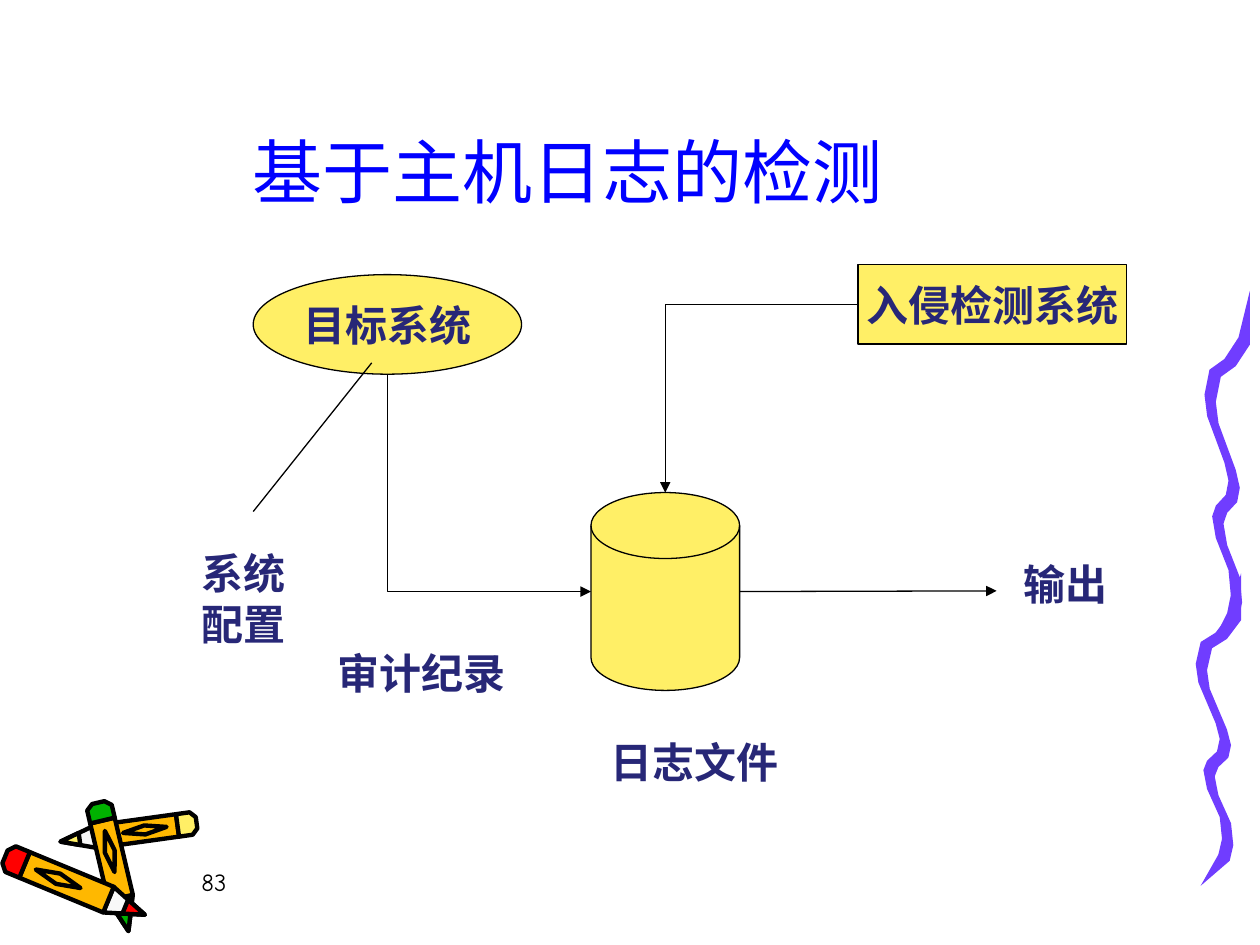
from math import hypot
from typing import NamedTuple

from lxml import etree
from pptx import Presentation
from pptx.dml.color import RGBColor
from pptx.enum.shapes import MSO_CONNECTOR, MSO_SHAPE
from pptx.enum.text import MSO_ANCHOR, PP_ALIGN
from pptx.oxml.ns import qn
from pptx.util import Inches, Pt

OVAL, RECT, DISK = MSO_SHAPE.OVAL, MSO_SHAPE.RECTANGLE, MSO_SHAPE.FLOWCHART_MAGNETIC_DISK
STRAIGHT, ELBOW = MSO_CONNECTOR.STRAIGHT, MSO_CONNECTOR.ELBOW
LEFT, CENTER = PP_ALIGN.LEFT, PP_ALIGN.CENTER
TOP, MIDDLE, BOTTOM = MSO_ANCHOR.TOP, MSO_ANCHOR.MIDDLE, MSO_ANCHOR.BOTTOM

COLS, ROWS = 100, 75
CELL = Inches(0.1)
THIN, THICK = 0.75, 2.5
C = {
    "title": "0000FF", "text": "272777", "black": "000000", "node": "FFEF66",
    "white": "F8F8F8", "red": "FF0000", "orange": "FFB800", "green": "00B200",
    "purple": "703DFF",
}


class Node(NamedTuple):
    kind: int
    col: float
    row: float
    cols: float
    rows: float
    text: str = ""

    @property
    def left(self) -> tuple:
        return self.col, self.row + self.rows / 2

    @property
    def right(self) -> tuple:
        return self.col + self.cols, self.row + self.rows / 2

    @property
    def top(self) -> tuple:
        return self.col + self.cols / 2, self.row

    @property
    def bottom(self) -> tuple:
        return self.col + self.cols / 2, self.row + self.rows


class Label(NamedTuple):
    text: str
    col: float
    row: float
    cols: float
    rows: float


class Link(NamedTuple):
    start: tuple
    end: tuple
    arrow: bool = True
    bent: bool = False
    down_first: bool = False


class Crayon(NamedTuple):
    back: tuple
    tip: tuple
    half_width: float
    color: str


class Part(NamedTuple):
    color: str
    points: list


class Ribbon(NamedTuple):
    col: float
    row: float
    cols: float
    rows: float


TARGET = Node(OVAL, 20.1, 21.8, 21.3, 7.9, "目标系统")
LOG_FILE = Node(DISK, 46.9, 39.1, 11.8, 15.7)
DETECTOR = Node(RECT, 68.1, 21, 21.3, 6.3, "入侵检测系统")
LINKS = [
    Link(TARGET.bottom, LOG_FILE.left, bent=True, down_first=True),
    Link(DETECTOR.left, LOG_FILE.top, bent=True),
    Link(LOG_FILE.right, (79.1, 46.9)),
    Link((29.5, 28.8), (20.1, 40.6), arrow=False),
]
LABELS = [
    Label("审计纪录", 25.6, 50.9, 15.7, 5),
    Label("系统配置", 13.8, 43, 11, 9),
    Label("日志文件", 46.1, 58, 18.1, 5),
    Label("输出", 79.1, 43.8, 11, 5),
]
CRAYONS = [
    Crayon((15.6, 65.3), (4.8, 66.8), 0.9, "node"),
    Crayon((7.8, 63.7), (10.2, 73.9), 1, "green"),
    Crayon((0.4, 68), (11.5, 72.6), 1.1, "red"),
]
CAP_END, SHEATH_END, LEAD_START = 0.14, 0.74, 0.86
LEAF_START, LEAF_END = 0.22, 0.54

RIBBONS = [Ribbon(94.9, 45.5, 3.6, 24.8), Ribbon(95.6, 23.1, 3.6, 28.4)]
RIBBON_BENDS = [
    (1, 0), (0.75, 0.13), (0.44, 0.19), (0.11, 0.22), (0, 0.29), (0.06, 0.35),
    (0.44, 0.48), (0.53, 0.53), (0.47, 0.57), (0.25, 0.6), (0.17, 0.63),
    (0.25, 0.69), (0.53, 0.78), (0.58, 0.85), (0.5, 0.9), (0.11, 1),
]
NIB = (0.25, 0.02)


def grid(*cells: float) -> list:
    return [round(n * CELL) for n in cells]


def rgb(name: str) -> RGBColor:
    return RGBColor.from_string(C[name])


def paint(sp, fill: str, line_width: float = 0) -> None:
    sp.shadow.inherit = False
    sp.fill.solid()
    sp.fill.fore_color.rgb = rgb(fill)
    if line_width:
        sp.line.color.rgb = rgb("black")
        sp.line.width = Pt(line_width)
    else:
        sp.line.fill.background()


def write(tf, text: str, size: int = 24, font: str = "Times New Roman", color: str = "text",
          bold: bool = True, align: int = CENTER, anchor: int = TOP, wrap: bool = True) -> None:
    tf.word_wrap = wrap
    tf.vertical_anchor = anchor
    p = tf.paragraphs[0]
    p.alignment = align
    r = p.add_run()
    r.text = text
    r.font.size, r.font.name, r.font.bold = Pt(size), font, bold
    r.font.color.rgb = rgb(color)


def draw_polygon(s, points: list, fill: str, line_width: float = 0) -> None:
    corners = [grid(*point) for point in points]
    fb = s.shapes.build_freeform(*corners[0])
    fb.add_line_segments(corners[1:], close=True)
    paint(fb.convert_to_shape(), fill, line_width)


def draw_crayon(s, crayon: Crayon) -> None:
    (x, y), (tip_x, tip_y) = crayon.back, crayon.tip
    dx, dy = tip_x - x, tip_y - y
    spread = crayon.half_width / hypot(dx, dy)
    leaf_middle = (LEAF_START + LEAF_END) / 2
    lead_half = (1 - LEAD_START) / (1 - SHEATH_END)
    parts = [
        Part("white", [(SHEATH_END, -1), (1, 0), (SHEATH_END, 1)]),
        Part(crayon.color, [(LEAD_START, -lead_half), (1, 0), (LEAD_START, lead_half)]),
        Part("orange", [(CAP_END, -1), (SHEATH_END, -1), (SHEATH_END, 1), (CAP_END, 1)]),
        Part(crayon.color, [(0, -0.5), (0.04, -1), (CAP_END, -1), (CAP_END, 1), (0.04, 1), (0, 0.5)]),
        Part("orange", [(LEAF_START, 0), (leaf_middle, -0.4), (LEAF_END, 0), (leaf_middle, 0.4)]),
    ]
    for part in parts:
        points = [(x + along * dx - across * spread * dy, y + along * dy + across * spread * dx)
                  for along, across in part.points]
        draw_polygon(s, points, part.color, THICK)


def draw_ribbon(s, ribbon: Ribbon) -> None:
    nib_x, nib_y = NIB
    shifted = [(x + nib_x, y + nib_y) for x, y in RIBBON_BENDS[1:-1]]
    points = [(ribbon.col + x * ribbon.cols, ribbon.row + y * ribbon.rows)
              for x, y in RIBBON_BENDS + shifted[::-1]]
    draw_polygon(s, points, "purple")


def draw_node(s, node: Node) -> None:
    sp = s.shapes.add_shape(node.kind, *grid(node.col, node.row, node.cols, node.rows))
    paint(sp, "node", THIN)
    if node.text:
        write(sp.text_frame, node.text, anchor=MIDDLE, wrap=False)


def draw_label(s, label: Label) -> None:
    tb = s.shapes.add_textbox(*grid(*label[1:]))
    write(tb.text_frame, label.text)


def draw_link(s, link: Link) -> None:
    (x1, y1), (x2, y2) = link.start, link.end
    if link.down_first:
        mid_x, mid_y = (x1 + x2) / 2, (y1 + y2) / 2
        dx, dy = (y2 - y1) / 2, (x2 - x1) / 2
        x1, y1, x2, y2 = mid_x + dx, mid_y - dy, mid_x - dx, mid_y + dy
    cx = s.shapes.add_connector(ELBOW if link.bent else STRAIGHT, *grid(x1, y1, x2, y2))
    cx.line.color.rgb = rgb("black")
    cx.line.width = Pt(THIN)
    sp_pr = cx._element.spPr
    if link.bent:
        sp_pr.find(qn("a:prstGeom")).set("prst", "bentConnector2")
    if link.down_first:
        sp_pr.find(qn("a:xfrm")).set("rot", str(270 * 60000))
    if link.arrow:
        etree.SubElement(sp_pr.find(qn("a:ln")), qn("a:tailEnd"), type="triangle")
    etree.SubElement(sp_pr, qn("a:effectLst"))


def main() -> None:
    prs = Presentation()
    prs.slide_width, prs.slide_height = grid(COLS, ROWS)
    s = prs.slides.add_slide(prs.slide_layouts[5])
    title = s.shapes.title
    title.left, title.top, title.width, title.height = grid(7.5, 1.7, 75.1, 15.7)
    write(title.text_frame, "基于主机日志的检测", 40, "Comic Neue", "title", False, anchor=BOTTOM)
    for crayon in CRAYONS:
        draw_crayon(s, crayon)
    for ribbon in RIBBONS:
        draw_ribbon(s, ribbon)
    number = s.shapes.add_textbox(*grid(15, 68.3, 20.8, 5))
    write(number.text_frame, "83", 14, "Comic Neue", "black", False, LEFT)
    for node in (TARGET, LOG_FILE, DETECTOR):
        draw_node(s, node)
    for link in LINKS:
        draw_link(s, link)
    for label in LABELS:
        draw_label(s, label)
    prs.save("out.pptx")


if __name__ == "__main__":
    main()
